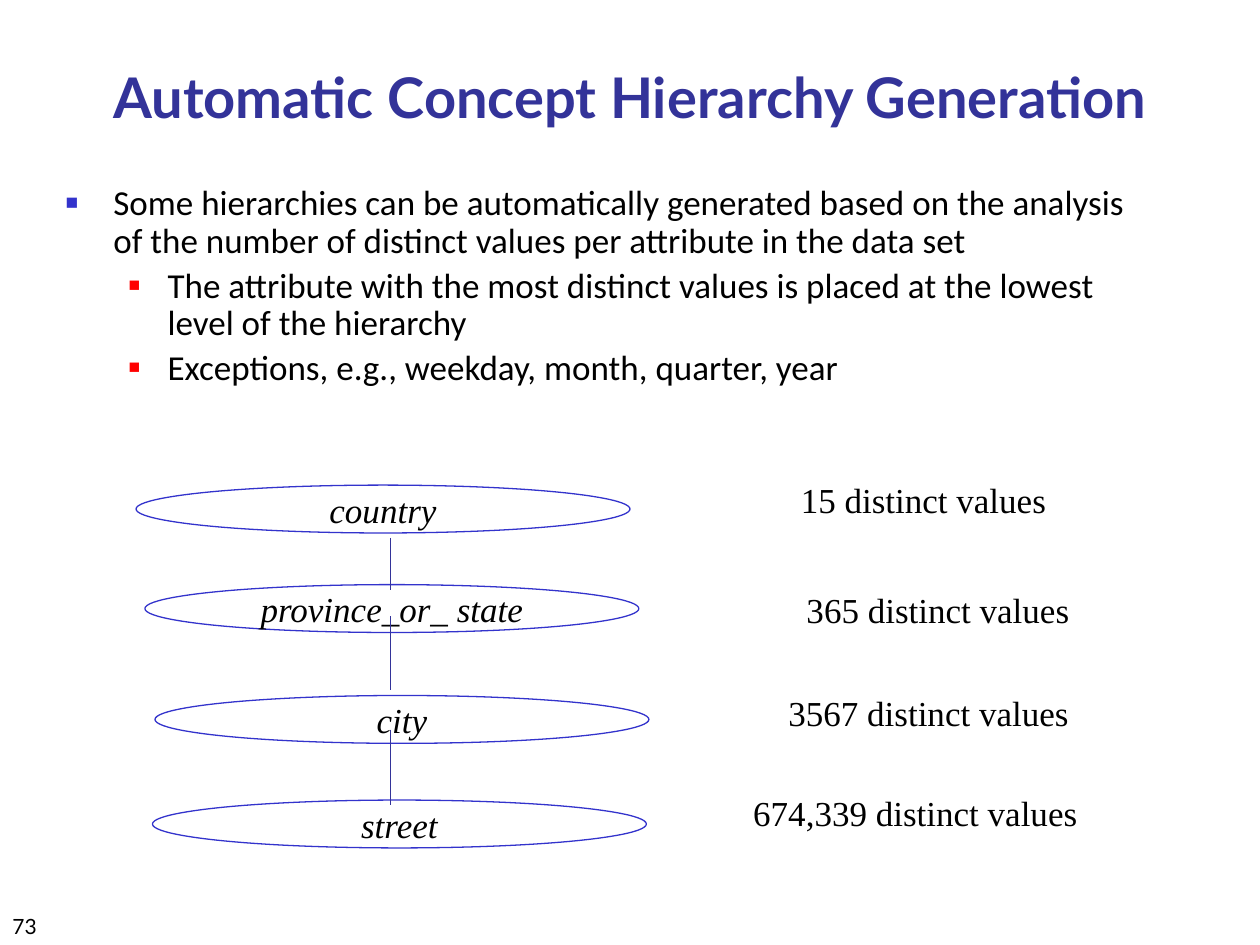
import pptx
import pptx.dml.color
import pptx.enum.shapes
import pptx.enum.text
import pptx.oxml
import pptx.oxml.ns
import pptx.util

PX = 9144
ALIGN = pptx.enum.text.PP_ALIGN
ANCHOR = pptx.enum.text.MSO_ANCHOR
FIT = pptx.enum.text.MSO_AUTO_SIZE
KIND = pptx.enum.shapes


class Theme:
    """Colours, faces and type sizes of the slide."""
    ink, title, oval, sub = "000000", "333399", "3333CC", "FF0000"
    head = {"name": "Lato", "size": pptx.util.Pt(32), "bold": True}
    body = {"name": "Calibri", "size": pptx.util.Pt(20)}
    page = {"name": "Lato", "size": pptx.util.Pt(12)}
    count = {"name": "Times New Roman", "size": pptx.util.Pt(20)}
    level = {**count, "italic": True}
    line = pptx.util.Pt(0.75)


def rgb(code):
    """Turn a hex code into a colour."""
    return pptx.dml.color.RGBColor.from_string(code)


def apply(item, props):
    """Set every attribute named in a dict."""
    for key, value in props.items():
        setattr(item, key, value)


def place(shape, box):
    """Move a shape to a box given in px."""
    apply(shape, dict(zip(("left", "top", "width", "height"), (n * PX for n in box))))


def write(para, text, font, color=Theme.ink, **props):
    """Put one formatted run into a paragraph."""
    run = para.add_run()
    run.text = text
    apply(run.font, font)
    run.font.color.rgb = rgb(color)
    apply(para, props)


def label(slide, box, text, font, align=ALIGN.CENTER, **frame):
    """Add a text box with one line."""
    shape = slide.shapes.add_textbox(*(n * PX for n in box))
    apply(shape.text_frame, {"word_wrap": False, **frame})
    write(shape.text_frame.paragraphs[0], text, font, alignment=align)


def bullet(para, left, hang, color, size):
    """Give a paragraph a square bullet and a hanging indent."""
    props = para._p.get_or_add_pPr()
    props.set("marL", str(left * PX))
    props.set("indent", str(-hang * PX))
    space = pptx.oxml.ns.nsdecls("a")
    for xml in (
        f'<a:buClr {space}><a:srgbClr val="{color}"/></a:buClr>',
        f'<a:buSzPct {space} val="{size * 1000}"/>',
        f'<a:buFont {space} typeface="Arial"/>',
        f'<a:buChar {space} char="■"/>',
    ):
        props.append(pptx.oxml.parse_xml(xml))


def title(slide, box):
    """Fill the title placeholder."""
    shape = slide.shapes.title
    place(shape, box)
    apply(shape.text_frame, {"vertical_anchor": ANCHOR.BOTTOM, "auto_size": FIT.NONE})
    write(shape.text_frame.paragraphs[0], "Automatic Concept Hierarchy Generation",
          Theme.head, Theme.title, alignment=ALIGN.CENTER)


def points(slide, box):
    """Fill the body placeholder with the list."""
    shape = slide.placeholders[1]
    place(shape, box)
    frame = shape.text_frame
    frame.auto_size = FIT.NONE
    looks = ((38, 38, Theme.oval, 60), (81, 31, Theme.sub, 55))
    items = (
        (0, "Some hierarchies can be automatically generated based on the analysis "
            "of the number of distinct values per attribute in the data set"),
        (1, "The attribute with the most distinct values is placed at the lowest "
            "level of the hierarchy"),
        (1, "Exceptions, e.g., weekday, month, quarter, year"),
    )
    for index, (level, text) in enumerate(items):
        para = frame.add_paragraph() if index else frame.paragraphs[0]
        write(para, text, Theme.body, level=level, line_spacing=0.9,
              space_before=pptx.util.Pt(4))
        bullet(para, *looks[level])


def oval(slide, box, text):
    """Add one level of the hierarchy."""
    shape = slide.shapes.add_shape(KIND.MSO_SHAPE.OVAL, *(n * PX for n in box))
    shape.shadow.inherit = False
    shape.fill.background()
    shape.line.color.rgb = rgb(Theme.oval)
    shape.line.width = Theme.line
    apply(shape.text_frame, {"word_wrap": False, "vertical_anchor": ANCHOR.MIDDLE})
    write(shape.text_frame.paragraphs[0], text, Theme.level, alignment=ALIGN.CENTER)


def link(slide, x, top, end):
    """Add one upright line between levels."""
    line = slide.shapes.add_connector(KIND.MSO_CONNECTOR.STRAIGHT,
                                      x * PX, top * PX, x * PX, end * PX)
    line.line.color.rgb = rgb(Theme.title)
    line.line.width = Theme.line
    xml = f'<a:effectLst {pptx.oxml.ns.nsdecls("a")}/>'
    line._element.spPr.append(pptx.oxml.parse_xml(xml))


def tree(slide, box):
    """Draw the levels and the lines that link them."""
    left, top = box[:2]
    levels = ((0, 0, "country"), (7, 79, "province_or_ state"),
              (15, 167, "city"), (13, 250, "street"))
    for x, y, text in levels:
        oval(slide, (left + x, top + y, 392, 38), text)
    for start, end in ((42, 83), (104, 163), (194, 254)):
        link(slide, left + 202, top + start, top + end)


def counts(slide, box):
    """List the number of values beside each level."""
    left, top = box[:2]
    rows = ((38, 0, 216, "15"), (21, 87, 273, "365"),
            (28, 169, 244, "3567"), (0, 248, 279, "674,339"))
    for x, y, width, number in rows:
        label(slide, (left + x, top + y, width, 44),
              f"{number} distinct values", Theme.count)


def main():
    """Build the slide and save it."""
    deck = pptx.Presentation()
    deck.slide_width, deck.slide_height = 1000 * PX, 750 * PX
    slide = deck.slides.add_slide(deck.slide_layouts[1])
    label(slide, (0, 700, 208, 50), "73", Theme.page, ALIGN.LEFT,
          word_wrap=True, vertical_anchor=ANCHOR.BOTTOM)
    title(slide, (0, 33, 1000, 75))
    points(slide, (42, 142, 883, 250))
    tree(slide, (108, 385, 407, 288))
    counts(slide, (587, 375, 294, 292))
    deck.save("out.pptx")


if __name__ == "__main__":
    main()
